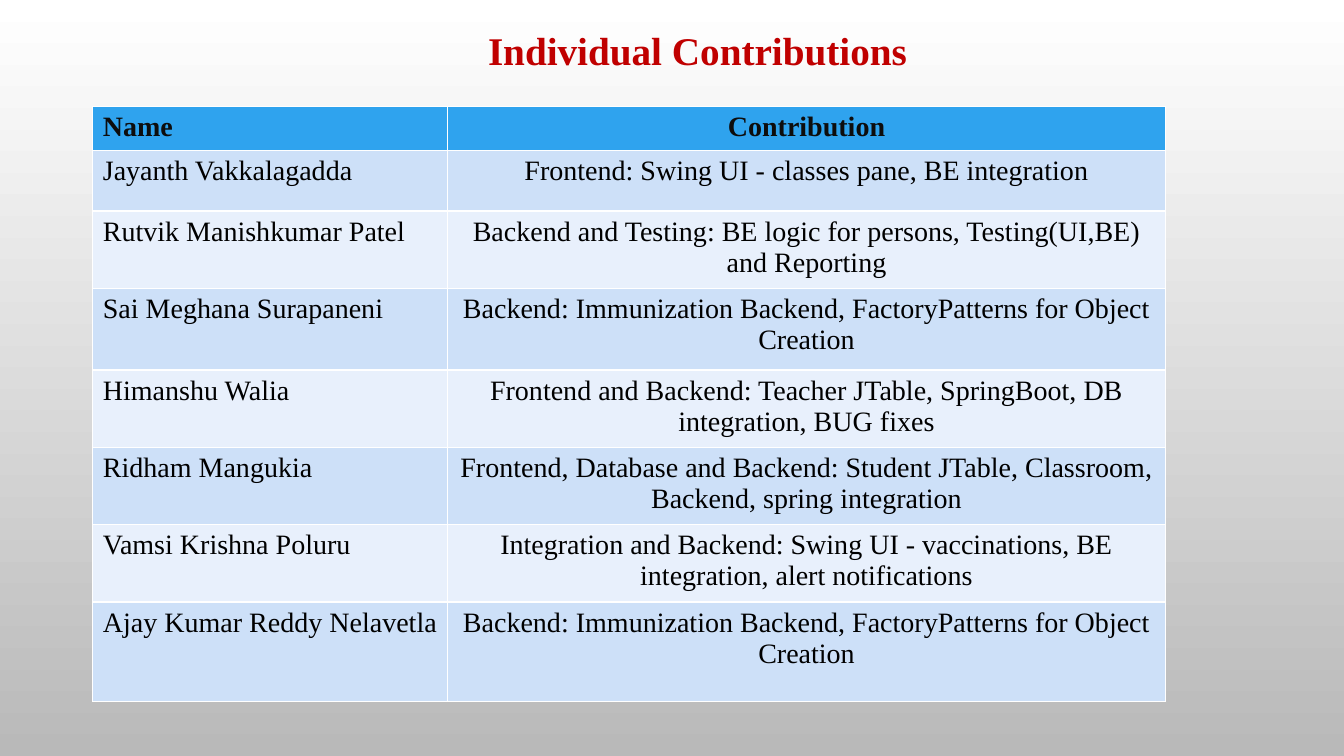
from pptx import Presentation
from pptx.dml.color import RGBColor
from pptx.enum import text
from pptx.util import Inches, Pt

TITLE = "Individual Contributions"
HEADER = ("Name", "Contribution")
CONTRIBUTIONS = [
    ("Jayanth Vakkalagadda", "Frontend: Swing UI - classes pane, BE integration"),
    ("Rutvik Manishkumar Patel",
     "Backend and Testing: BE logic for persons, Testing(UI,BE) and Reporting"),
    ("Sai Meghana Surapaneni",
     "Backend: Immunization Backend, FactoryPatterns for Object Creation"),
    ("Himanshu Walia",
     "Frontend and Backend: Teacher JTable, SpringBoot, DB integration, BUG fixes"),
    ("Ridham Mangukia",
     "Frontend, Database and Backend: Student JTable, Classroom, Backend, spring integration"),
    ("Vamsi Krishna Poluru",
     "Integration and Backend: Swing UI - vaccinations, BE integration, alert notifications"),
    ("Ajay Kumar Reddy Nelavetla",
     "Backend: Immunization Backend, FactoryPatterns for Object Creation"),
]
COLUMN_WIDTHS = (3.52, 7.12)
ROW_HEIGHTS = (0.43, 0.6, 0.75, 0.81, 0.75, 0.75, 0.75, 0.99)
ALIGNMENTS = (text.PP_ALIGN.LEFT, text.PP_ALIGN.CENTER)

FONT = "Times New Roman"
WHITE = RGBColor(0xFF, 0xFF, 0xFF)
GREY = RGBColor(0xB9, 0xB9, 0xB9)
RED = RGBColor(0xC0, 0x00, 0x00)
BLACK = RGBColor(0x00, 0x00, 0x00)
HEADER_TEXT = RGBColor(0x0D, 0x0D, 0x0D)
HEADER_FILL = RGBColor(0x2F, 0xA3, 0xEE)
BANDS = (RGBColor(0xE8, 0xF0, 0xFC), RGBColor(0xCD, 0xE0, 0xF8))


def write(frame, words, size, color, bold, alignment):
    frame.text = words
    paragraph = frame.paragraphs[0]
    paragraph.alignment = alignment
    font = paragraph.runs[0].font
    font.name, font.size, font.bold = FONT, Pt(size), bold
    font.color.rgb = color


def add_background(slide):
    fill = slide.background.fill
    fill.gradient()
    fill.gradient_angle = 270
    for stop, color in zip(fill.gradient_stops, (WHITE, GREY)):
        stop.color.rgb = color


def add_title(slide):
    title = slide.shapes.title
    title.left, title.top = Inches(4.74), Inches(0.21)
    title.width, title.height = Inches(4.41), Inches(0.57)
    frame = title.text_frame
    write(frame, TITLE, 28, RED, True, text.PP_ALIGN.LEFT)
    frame.word_wrap = False
    frame.auto_size = text.MSO_AUTO_SIZE.SHAPE_TO_FIT_TEXT
    frame.vertical_anchor = text.MSO_ANCHOR.TOP


def add_contributions(slide):
    rows = [HEADER] + CONTRIBUTIONS
    table = slide.shapes.add_table(
        len(rows), len(HEADER), Inches(0.92), Inches(1.06),
        Inches(sum(COLUMN_WIDTHS)), Inches(sum(ROW_HEIGHTS))).table
    for column, width in zip(table.columns, COLUMN_WIDTHS):
        column.width = Inches(width)
    for r, (entries, height) in enumerate(zip(rows, ROW_HEIGHTS)):
        table.rows[r].height = Inches(height)
        is_header = r == 0
        for c, entry in enumerate(entries):
            cell = table.cell(r, c)
            cell.fill.solid()
            cell.fill.fore_color.rgb = HEADER_FILL if is_header else BANDS[r % 2]
            write(cell.text_frame, entry, 20, HEADER_TEXT if is_header else BLACK,
                  is_header, ALIGNMENTS[c])


def main():
    deck = Presentation()
    deck.slide_width, deck.slide_height = Inches(13.33), Inches(7.5)
    slide = deck.slides.add_slide(deck.slide_layouts.get_by_name("Title Only"))
    add_background(slide)
    add_title(slide)
    add_contributions(slide)
    deck.save("out.pptx")


if __name__ == "__main__":
    main()
